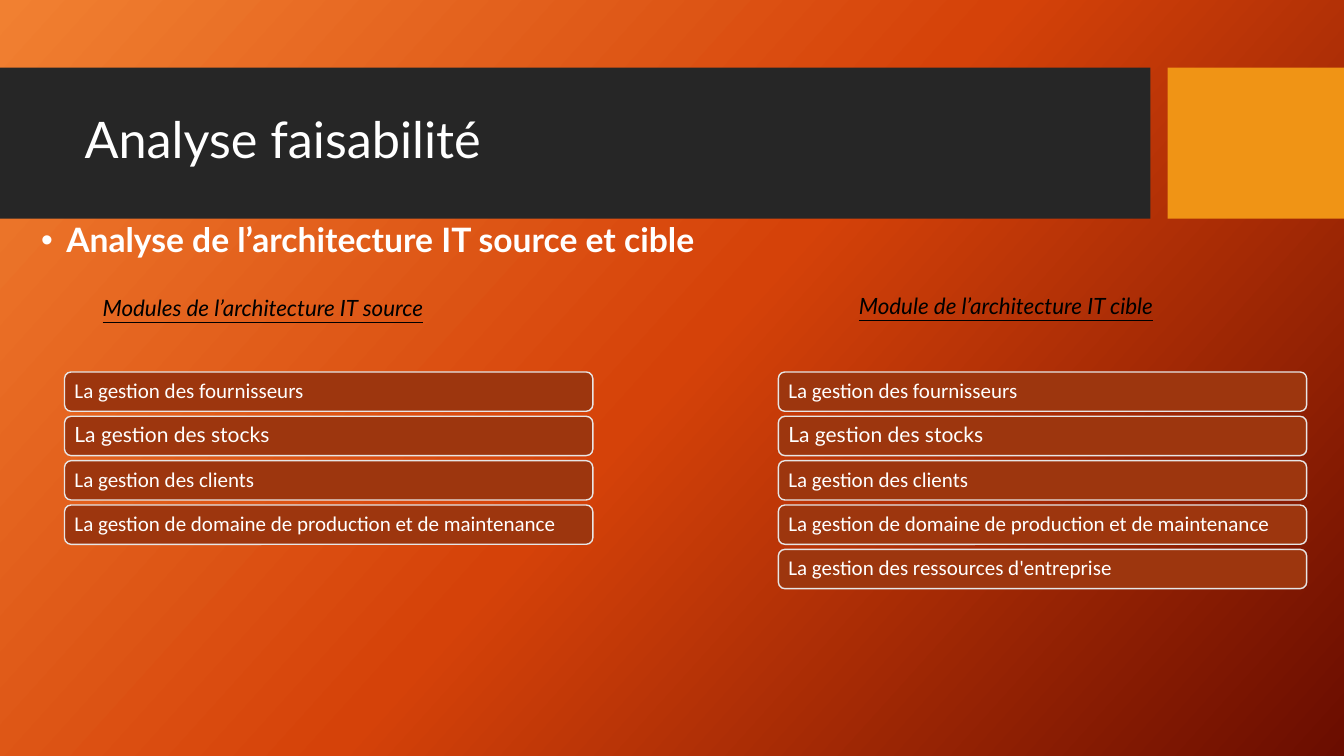
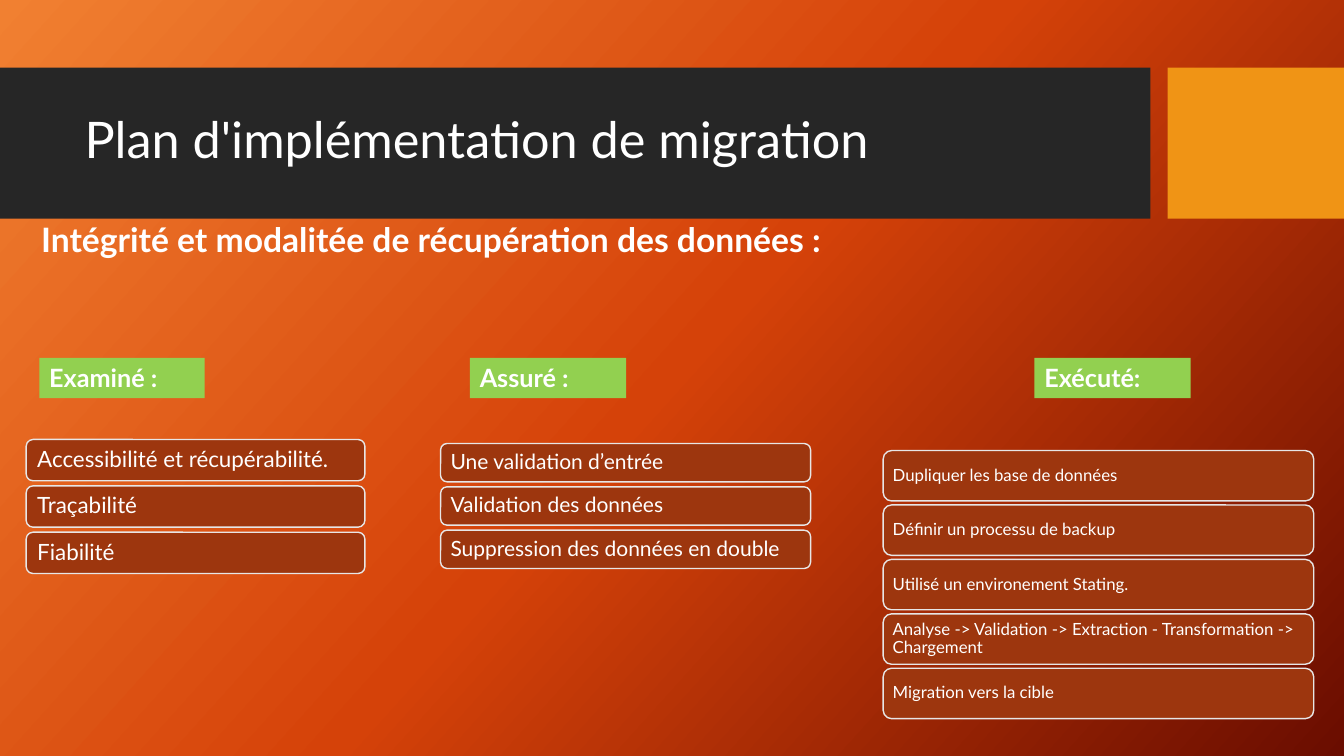
"""Build two slides on the feasibility and the plan of a data migration."""
from copy import deepcopy

from lxml.etree import SubElement
from pptx import Presentation
from pptx.dml.color import RGBColor
from pptx.enum.shapes import MSO_SHAPE
from pptx.enum.text import MSO_ANCHOR, PP_ALIGN
from pptx.oxml.ns import qn
from pptx.util import Inches, Pt

BACKGROUND = [(0, "F18031"), (0.5, "D54209"), (1, "6A0D00")]
DARK, ORANGE, RUST, GREEN = "262626", "F09415", "9D360E", "92D050"
WHITE, BLACK, BORDER = "FFFFFF", "000000", "E7E6E6"
rgb = RGBColor.from_string


def add_box(s, at, fill=None, line=None, shape=MSO_SHAPE.RECTANGLE):
    """Add a filled shape, or a text box when there is no fill."""
    at = [Inches(v) for v in at]
    if fill is None:
        return s.shapes.add_textbox(*at)
    sp = s.shapes.add_shape(shape, *at)
    sp.shadow.inherit = False
    sp.fill.solid()
    sp.fill.fore_color.rgb = rgb(fill)
    if line:
        sp.line.color.rgb = rgb(line)
        sp.line.width = Pt(1)
    else:
        sp.line.fill.background()
    return sp


def write(sp, text, size, font="Lato", color=WHITE, anchor=MSO_ANCHOR.TOP,
          spacing=1.0, bold=False, italic=False, underline=False):
    """Put one left-aligned paragraph in a shape and return it."""
    tf = sp.text_frame
    tf.word_wrap = True
    tf.vertical_anchor = anchor
    p = tf.paragraphs[0]
    p.text = text
    p.alignment = PP_ALIGN.LEFT
    p.line_spacing = spacing
    r = p.runs[0]
    r.font.size = Pt(size)
    r.font.name = font
    r.font.color.rgb = rgb(color)
    r.font.bold, r.font.italic, r.font.underline = bold, italic, underline
    return p


modules = [
    ("La gestion des fournisseurs", "Calibri"),
    ("La gestion des stocks", "Lato"),
    ("La gestion des clients", "Calibri"),
    ("La gestion de domaine de production et de maintenance", "Calibri"),
]
resources = [("La gestion des ressources d'entreprise", "Calibri")]
examined = ["Accessibilité et récupérabilité.", "Traçabilité", "Fiabilité"]
ensured = ["Une validation d’entrée", "Validation des données",
           "Suppression des données en double"]
executed = [
    "Dupliquer les base de données",
    "Définir un processu de backup",
    "Utilisé un environement Stating.",
    "Analyse -> Validation -> Extraction - Transformation -> Chargement",
    "Migration vers la cible",
]

slides = [
    {
        "title": "Analyse faisabilité",
        "subtitle": "Analyse de l’architecture IT source et cible",
        "bullet": True,
        "headings": [
            ("Modules de l’architecture IT source", (0.92, 2.87, 3.94, 0.64)),
            ("Module de l’architecture IT cible", (8.42, 2.85, 4.42, 0.64)),
        ],
        "heading_fill": None,
        "heading_style": {"size": 16, "color": BLACK, "italic": True, "underline": True},
        "lists": [
            ((0.64, 3.69, 5.24, 0.39), 0.44, 15, modules),
            ((7.72, 3.69, 5.24, 0.39), 0.44, 15, modules + resources),
        ],
    },
    {
        "title": "Plan d'implémentation de migration",
        "subtitle": "Intégrité et modalitée de récupération des données :",
        "bullet": False,
        "headings": [
            ("Examiné :", (0.39, 3.55, 1.64, 0.4)),
            ("Assuré :", (4.66, 3.55, 1.55, 0.4)),
            ("Exécuté:", (10.26, 3.55, 1.55, 0.4)),
        ],
        "heading_fill": GREEN,
        "heading_style": {"size": 18, "bold": True},
        "lists": [
            ((0.26, 4.36, 3.36, 0.41), 0.46, 16, [(t, "Lato") for t in examined]),
            ((4.37, 4.4, 3.67, 0.38), 0.43, 15, [(t, "Lato") for t in ensured]),
            ((8.76, 4.47, 4.27, 0.5), 0.54, 12, [(t, "Lato") for t in executed]),
        ],
    },
]

prs = Presentation()
prs.slide_width, prs.slide_height = Inches(13.33), Inches(7.5)

for content in slides:
    s = prs.slides.add_slide(prs.slide_layouts[6])
    fill = s.background.fill
    fill.gradient()
    fill.gradient_angle = 360 - 42
    stops = s.element.find(".//" + qn("a:gsLst"))
    stops.insert(1, deepcopy(stops[0]))
    for stop, (position, color) in zip(fill.gradient_stops, BACKGROUND):
        stop.position = position
        stop.color.rgb = rgb(color)

    add_box(s, (0, 0.67, 11.41, 1.5), DARK)
    add_box(s, (11.58, 0.67, 1.75, 1.5), ORANGE)
    write(add_box(s, (0.74, 0.82, 10.51, 1.18)), content["title"], 36,
          anchor=MSO_ANCHOR.MIDDLE, spacing=0.9)
    p = write(add_box(s, (0.31, 2.17, 12.91, 0.5)), content["subtitle"], 24,
              spacing=0.9, bold=True)
    if content["bullet"]:
        pPr = p._p.get_or_add_pPr()
        pPr.set("marL", str(Inches(0.25)))
        pPr.set("indent", str(-Inches(0.25)))
        SubElement(pPr, qn("a:buFont")).set("typeface", "Arial")
        SubElement(pPr, qn("a:buChar")).set("char", "•")

    for text, at in content["headings"]:
        write(add_box(s, at, content["heading_fill"]), text, **content["heading_style"])

    for (x, y, w, h), pitch, size, items in content["lists"]:
        for i, (text, font) in enumerate(items):
            sp = add_box(s, (x, y + i * pitch, w, h), RUST, BORDER,
                         MSO_SHAPE.ROUNDED_RECTANGLE)
            write(sp, text, size, font, anchor=MSO_ANCHOR.MIDDLE, spacing=0.9)
            tf = sp.text_frame
            tf.margin_left = tf.margin_right = Inches(round(size / 180, 2))
            tf.margin_top = tf.margin_bottom = Inches(0.05)

prs.save("out.pptx")
